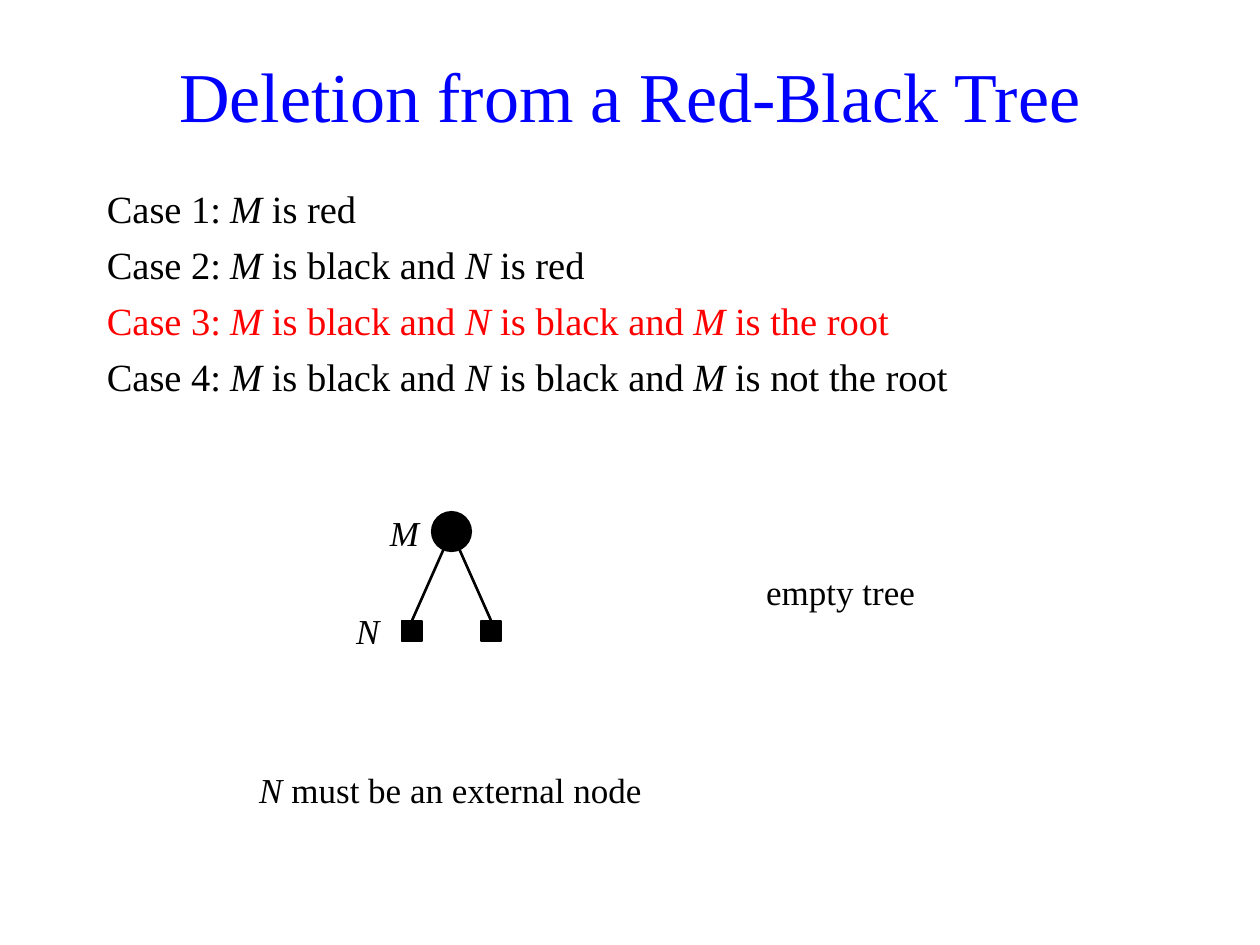
import dataclasses

import pptx
import pptx.dml.color
import pptx.enum.shapes
import pptx.enum.text
import pptx.oxml.ns
import pptx.util
from lxml import etree

Pt = pptx.util.Pt
RGBColor = pptx.dml.color.RGBColor
ALIGN = pptx.enum.text.PP_ALIGN
ANCHOR = pptx.enum.text.MSO_ANCHOR
SHAPE = pptx.enum.shapes.MSO_SHAPE

BLACK = RGBColor(0, 0, 0)
RED = RGBColor(255, 0, 0)
BLUE = RGBColor(0, 0, 255)
FONT = "Times New Roman"

CASES = [
    ("Case 1:\t*M *is red", BLACK),
    ("Case 2:\t*M *is black and *N *is red", BLACK),
    ("Case 3:\t*M *is black and *N* is black and *M* is the root", RED),
    ("Case 4:\t*M* is black and *N* is black and *M *is not the root", BLACK),
]
CASE_INDENT = 70.5
CASE_GAP = 5.5

ROOT_X, ROOT_Y, ROOT_SIZE = 258.0, 303.75, 22.5
CHILD_TOP, CHILD_SIZE, CHILD_OFFSET = 355.0, 11.5, 22.75


@dataclasses.dataclass
class Label:
    text: str
    left: float
    top: float
    width: float
    align: ALIGN
    height: float = 45.5
    size: float = 20
    color: RGBColor = BLACK


LABELS = [
    Label("Deletion from a Red-Black Tree", 31, 20, 658, ALIGN.CENTER, 68, 40, BLUE),
    Label("*N*", 190, 337.5, 34, ALIGN.RIGHT),
    Label("*M*", 212.5, 281.5, 34, ALIGN.RIGHT),
    Label("empty tree", 417, 315.5, 113, ALIGN.RIGHT),
    Label("*N* must be an external node", 133, 428.5, 249, ALIGN.CENTER),
]


def add_rich_text(p, text: str, size: float, color: RGBColor) -> None:
    """Fill a paragraph; text between asterisks becomes italic."""
    for i, part in enumerate(text.split("*")):
        if not part:
            continue
        r = p.add_run()
        r.text = part
        for name, value in {"name": FONT, "size": Pt(size), "italic": i % 2 == 1}.items():
            setattr(r.font, name, value)
        r.font.color.rgb = color


def add_label(s, label: Label) -> None:
    box = (label.left, label.top, label.width, label.height)
    tf = s.shapes.add_textbox(*map(Pt, box)).text_frame
    for name, value in {"word_wrap": True, "vertical_anchor": ANCHOR.MIDDLE}.items():
        setattr(tf, name, value)
    p = tf.paragraphs[0]
    p.alignment = label.align
    add_rich_text(p, label.text, label.size, label.color)


def add_cases(s) -> None:
    tf = s.shapes.add_textbox(Pt(54), Pt(100), Pt(612), Pt(136)).text_frame
    for name, value in {"word_wrap": True, "margin_top": Pt(6)}.items():
        setattr(tf, name, value)
    for i, (text, color) in enumerate(CASES):
        p = tf.add_paragraph() if i else tf.paragraphs[0]
        p.space_before = Pt(CASE_GAP if i else 0)
        pPr = p._p.get_or_add_pPr()
        pPr.set("marL", str(Pt(CASE_INDENT)))
        pPr.set("indent", str(-Pt(CASE_INDENT)))
        add_rich_text(p, text, 22, color)


def add_node(s, kind: SHAPE, x: float, y: float, size: float):
    """Draw a black tree node centred on (x, y)."""
    sp = s.shapes.add_shape(kind, Pt(x - size / 2), Pt(y - size / 2), Pt(size), Pt(size))
    sp.shadow.inherit = False
    sp.fill.solid()
    sp.fill.fore_color.rgb = BLACK
    sp.line.color.rgb = BLACK
    sp.line.width = Pt(1)
    return sp


def add_edge(s, child, x: float) -> None:
    """Join the root's centre to the top of a child centred on x."""
    line = s.shapes.add_connector(
        pptx.enum.shapes.MSO_CONNECTOR.STRAIGHT,
        Pt(ROOT_X), Pt(ROOT_Y), Pt(x), Pt(CHILD_TOP),
    )
    line.end_connect(child, 0)
    line.line.color.rgb = BLACK
    line.line.width = Pt(1.5)
    etree.SubElement(line._element.spPr, pptx.oxml.ns.qn("a:effectLst"))


def add_tree(s) -> None:
    for x in (ROOT_X - CHILD_OFFSET, ROOT_X + CHILD_OFFSET):
        child = add_node(s, SHAPE.RECTANGLE, x, CHILD_TOP + CHILD_SIZE / 2, CHILD_SIZE)
        add_edge(s, child, x)
    add_node(s, SHAPE.OVAL, ROOT_X, ROOT_Y, ROOT_SIZE)


def main() -> None:
    prs = pptx.Presentation()
    prs.slide_width, prs.slide_height = Pt(720), Pt(540)
    s = prs.slides.add_slide(prs.slide_layouts[6])
    add_cases(s)
    add_tree(s)
    for label in LABELS:
        add_label(s, label)
    prs.save("out.pptx")


if __name__ == "__main__":
    main()
